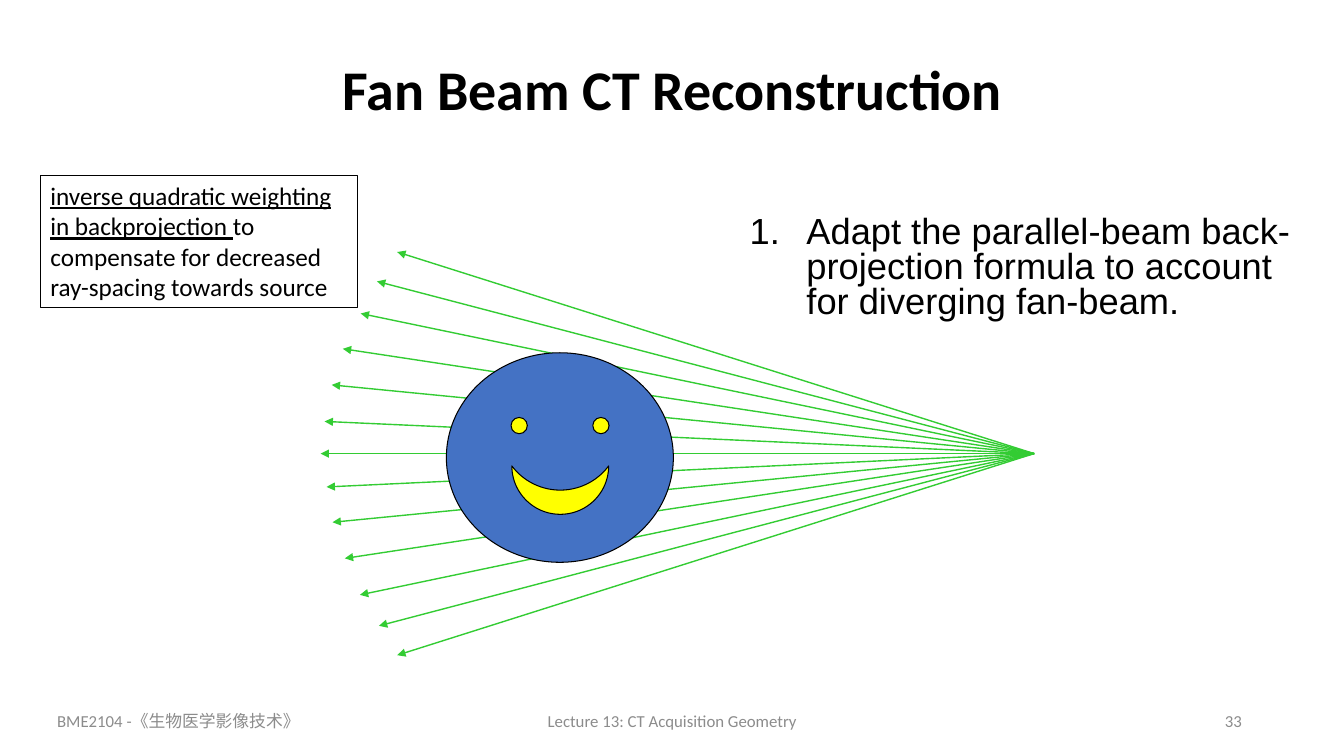
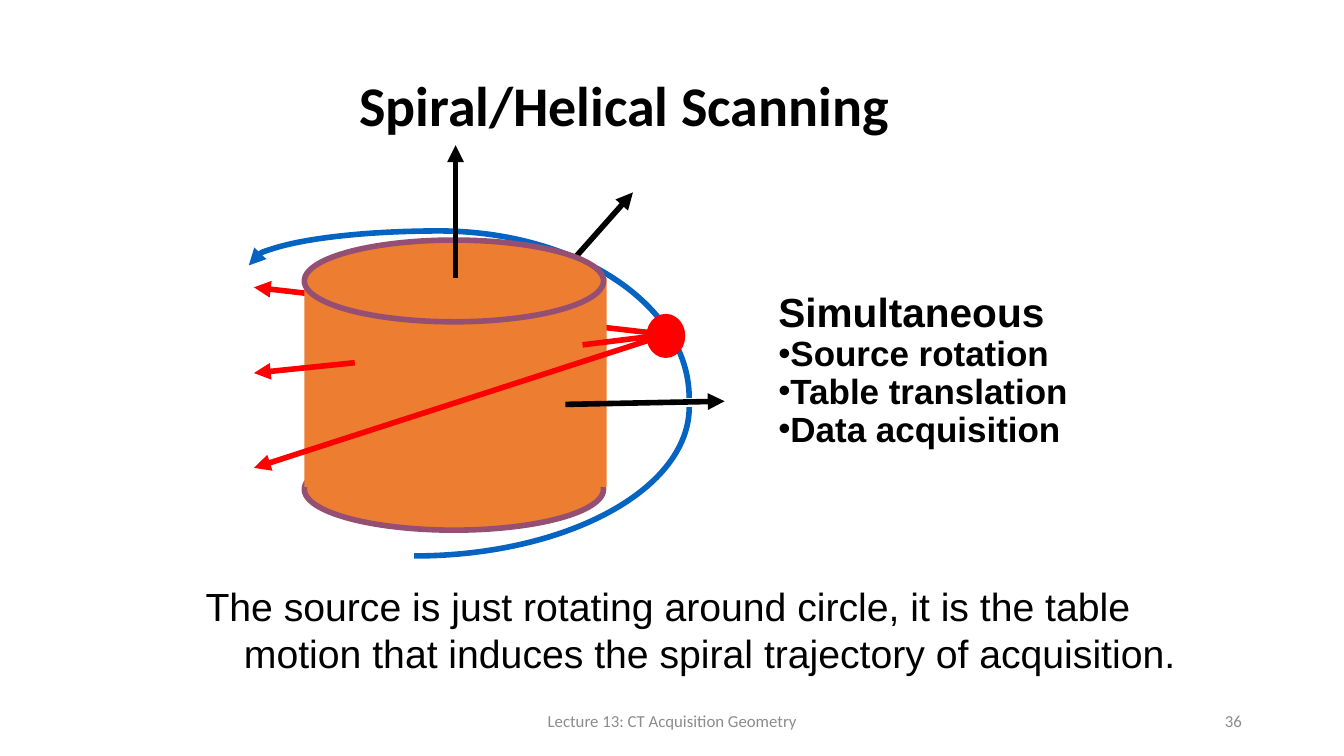
"""Build two lecture slides on CT acquisition geometry."""
from dataclasses import dataclass
from typing import NamedTuple, Optional

from lxml import etree
from pptx import Presentation
from pptx.dml.color import RGBColor
from pptx.enum.shapes import MSO_CONNECTOR, MSO_SHAPE
from pptx.enum.text import MSO_ANCHOR, MSO_AUTO_SIZE, PP_ALIGN
from pptx.oxml.ns import qn
from pptx.shapes.autoshape import Shape
from pptx.shapes.connector import Connector
from pptx.slide import Slide
from pptx.text.text import TextFrame
from pptx.util import Cm, Pt

BLACK = RGBColor(0x00, 0x00, 0x00)
GREY = RGBColor(0x8C, 0x8C, 0x8C)
RAY_GREEN = RGBColor(0x33, 0xCC, 0x33)
HEAD_BLUE = RGBColor(0x44, 0x72, 0xC4)
FACE_YELLOW = RGBColor(0xFF, 0xFF, 0x00)
BEAM_RED = RGBColor(0xFF, 0x00, 0x00)
BODY_ORANGE = RGBColor(0xED, 0x7D, 0x31)
RIM_PURPLE = RGBColor(0x95, 0x4F, 0x72)
ORBIT_BLUE = RGBColor(0x05, 0x63, 0xC1)

STRAIGHT = MSO_CONNECTOR.STRAIGHT
ARC, MOON = MSO_SHAPE.ARC, MSO_SHAPE.MOON
OVAL, RECTANGLE = MSO_SHAPE.OVAL, MSO_SHAPE.RECTANGLE
TOP, MIDDLE = MSO_ANCHOR.TOP, MSO_ANCHOR.MIDDLE
LEFT, CENTER, RIGHT = PP_ALIGN.LEFT, PP_ALIGN.CENTER, PP_ALIGN.RIGHT
NO_AUTOSIZE = MSO_AUTO_SIZE.NONE

HEADING_FONT, BODY_FONT = "Calibri", "Arial"
THIN, THICK = 0.75, 4
COURSE = "BME2104 -《生物医学影像技术》"
LECTURE = "Lecture 13: CT Acquisition Geometry"


class Box(NamedTuple):
    """Left, top, width and height in centimetres."""
    left: float
    top: float
    width: float
    height: float

    def lengths(self) -> list[Cm]:
        """Return the four measures as lengths."""
        return [Cm(measure) for measure in self]


class Point(NamedTuple):
    """Position in centimetres."""
    x: float
    y: float


@dataclass(frozen=True)
class Run:
    """Piece of text with its own look."""
    text: str
    size: float
    font: str = BODY_FONT
    color: RGBColor = BLACK
    bold: bool = False
    underline: bool = False


@dataclass(frozen=True)
class Paragraph:
    """Runs with their layout; bullet is a character or a numbering scheme."""
    runs: tuple[Run, ...]
    align: PP_ALIGN = LEFT
    spacing: float = 1.0
    hanging: float = 0
    bullet: str = ""


@dataclass(frozen=True)
class Arrow:
    """Line with an optional arrowhead at its end."""
    start: Point
    end: Point
    color: RGBColor
    pointed: bool = True


@dataclass(frozen=True)
class Orbit:
    """Quarter of an ellipse, clockwise from a given angle."""
    center: Point
    radius_x: float
    radius_y: float
    angle: int
    pointed: bool = False


def write(frame: TextFrame, paragraphs: list[Paragraph], anchor: MSO_ANCHOR = TOP) -> None:
    """Fill a text frame with paragraphs, run by run."""
    frame.word_wrap = True
    frame.auto_size = NO_AUTOSIZE
    frame.vertical_anchor = anchor
    for index, content in enumerate(paragraphs):
        paragraph = frame.add_paragraph() if index else frame.paragraphs[0]
        properties = paragraph._p.get_or_add_pPr()
        properties.set("marL", str(Cm(content.hanging)))
        properties.set("indent", str(-Cm(content.hanging)))
        if content.bullet == "arabicPeriod":
            etree.SubElement(properties, qn("a:buAutoNum"), type=content.bullet)
        elif content.bullet:
            etree.SubElement(properties, qn("a:buChar"), char=content.bullet)
        else:
            etree.SubElement(properties, qn("a:buNone"))
        paragraph.alignment = content.align
        paragraph.line_spacing = content.spacing
        paragraph.space_before = Pt(0)
        for piece in content.runs:
            run = paragraph.add_run()
            run.text = piece.text
            run.font.size = Pt(piece.size)
            run.font.name = piece.font
            run.font.color.rgb = piece.color
            run.font.bold = piece.bold
            run.font.underline = piece.underline


def fill_placeholder(holder: Shape, box: Box, paragraphs: list[Paragraph], anchor: MSO_ANCHOR) -> None:
    """Move a placeholder and write its text."""
    holder.left, holder.top, holder.width, holder.height = box.lengths()
    write(holder.text_frame, paragraphs, anchor)


def add_text(slide: Slide, box: Box, paragraphs: list[Paragraph], anchor: MSO_ANCHOR = TOP) -> None:
    """Add a wrapped text box."""
    write(slide.shapes.add_textbox(*box.lengths()).text_frame, paragraphs, anchor)


def add_figure(slide: Slide, kind: MSO_SHAPE, box: Box, fill: Optional[RGBColor] = None,
               line: Optional[RGBColor] = None, width: float = THIN) -> Shape:
    """Add a preset shape with a flat fill and outline."""
    figure = slide.shapes.add_shape(kind, *box.lengths())
    figure.shadow.inherit = False
    if fill is None:
        figure.fill.background()
    else:
        figure.fill.solid()
        figure.fill.fore_color.rgb = fill
    if line is None:
        figure.line.fill.background()
    else:
        figure.line.color.rgb = line
        figure.line.width = Pt(width)
    return figure


def add_arrow(slide: Slide, arrow: Arrow, width: float = THICK) -> Connector:
    """Add a straight line, with a head where wanted."""
    ends = [Cm(measure) for measure in (*arrow.start, *arrow.end)]
    connector = slide.shapes.add_connector(STRAIGHT, *ends)
    connector.line.color.rgb = arrow.color
    connector.line.width = Pt(width)
    if arrow.pointed:
        etree.SubElement(connector.line._get_or_add_ln(), qn("a:tailEnd"), type="triangle")
    etree.SubElement(connector._element.spPr, qn("a:effectLst"))
    return connector


def add_orbit(slide: Slide, orbit: Orbit) -> None:
    """Add a quarter of the source trajectory."""
    box = Box(orbit.center.x - orbit.radius_x, orbit.center.y - orbit.radius_y,
              2 * orbit.radius_x, 2 * orbit.radius_y)
    curve = add_figure(slide, ARC, box, line=ORBIT_BLUE, width=THICK)
    curve.adjustments[0] = orbit.angle * 0.6
    curve.adjustments[1] = (orbit.angle + 90) % 360 * 0.6
    if orbit.pointed:
        etree.SubElement(curve.line._get_or_add_ln(), qn("a:headEnd"), type="triangle")


def add_footers(slide: Slide, number: int, course: str = "") -> None:
    """Add the course, lecture and page number along the bottom."""
    footers = [(1.19, 9.27, LEFT, course), (11.23, 11.43, CENTER, LECTURE),
               (23.93, 7.62, RIGHT, str(number))]
    for left, width, align, text in footers:
        if text:
            label = Run(text, 12, HEADING_FONT, GREY)
            add_text(slide, Box(left, 17.65, width, 1.02), [Paragraph((label,), align)], MIDDLE)


def start_slide(deck: Presentation, title: str, title_box: Box,
                body: list[Paragraph], body_box: Box) -> Slide:
    """Add a slide with its title and list."""
    slide = deck.slides.add_slide(deck.slide_layouts[1])
    heading = Run(title, 40, HEADING_FONT, bold=True)
    fill_placeholder(slide.shapes.title, title_box, [Paragraph((heading,), CENTER, 0.9)], MIDDLE)
    fill_placeholder(slide.placeholders[1], body_box, body, TOP)
    return slide


def build_fan_beam(deck: Presentation) -> None:
    """Draw the fan of rays through a head."""
    step = Run("Adapt the parallel-beam back-projection formula to account for diverging fan-beam.", 25.9)
    slide = start_slide(deck, "Fan Beam CT Reconstruction", Box(2.34, 1.02, 29.21, 2.62),
                        [Paragraph((step,), spacing=0.8, hanging=1.43, bullet="arabicPeriod")],
                        Box(18.64, 5.33, 14.83, 3.18))

    source = Point(26.06, 11.43)
    detectors = [(10.01, 6.35), (9.5, 7.09), (9.09, 7.9), (8.64, 8.79), (8.36, 9.7),
                 (8.18, 10.62), (8.08, 11.43), (8.23, 12.27), (8.38, 13.16), (8.69, 14.07),
                 (9.07, 14.99), (9.55, 15.77), (10.01, 16.51)]
    for detector in detectors:
        add_arrow(slide, Arrow(source, Point(*detector), RAY_GREEN), 1)

    add_figure(slide, OVAL, Box(11.25, 8.89, 5.72, 5.28), HEAD_BLUE, BLACK)
    for eye_left in (12.98, 15.04):
        add_figure(slide, OVAL, Box(eye_left - 0.1, 10.52, 0.41, 0.41), FACE_YELLOW, BLACK)
    mouth = add_figure(slide, MOON, Box(13.51, 11.13, 1.22, 2.44), FACE_YELLOW, BLACK)
    mouth.rotation = 270

    weighting = add_figure(slide, RECTANGLE, Box(1.02, 4.42, 8, 3.33), line=BLACK)
    reason = (Run("inverse quadratic weighting in backprojection ", 18, HEADING_FONT, underline=True),
              Run("to compensate for decreased ray-spacing towards source", 18, HEADING_FONT))
    write(weighting.text_frame, [Paragraph(reason)])
    add_footers(slide, 33, COURSE)


def build_spiral(deck: Presentation) -> None:
    """Draw the source circling a moving cylinder."""
    processes = [Paragraph((Run("Simultaneous", 29, bold=True),), spacing=0.9)]
    for process in ("Source rotation", "Table translation", "Data acquisition"):
        processes.append(Paragraph((Run(process, 25, bold=True),), spacing=0.9, bullet="•"))
    slide = start_slide(deck, "Spiral/Helical Scanning", Box(7.92, 1.9, 15.62, 1.68),
                        processes, Box(19.36, 7.24, 8.5, 4.27))

    source = Point(16.79, 8.43)
    add_arrow(slide, Arrow(source, Point(6.4, 7.24), BEAM_RED))
    add_figure(slide, OVAL, Box(7.67, 11.3, 7.54, 2.06), BODY_ORANGE, RIM_PURPLE, THICK)
    add_arrow(slide, Arrow(Point(11.28, 10.11), Point(15.95, 4.85), BLACK))
    for orbit in (Orbit(Point(10.44, 10.26), 6.93, 3.75, 0),
                  Orbit(Point(11.07, 10.03), 6.3, 4.21, 270),
                  Orbit(Point(11.07, 6.69), 4.8, 0.87, 180, pointed=True)):
        add_orbit(slide, orbit)
    cylinder = add_figure(slide, RECTANGLE, Box(7.67, 7.01, 7.62, 5.26), BODY_ORANGE)
    add_figure(slide, OVAL, Box(7.67, 6.05, 7.54, 2.06), BODY_ORANGE, RIM_PURPLE, THICK)

    axis = add_arrow(slide, Arrow(Point(11.48, 7.01), Point(11.48, 3.66), BLACK))
    axis.begin_connect(cylinder, 0)
    for arrow in (Arrow(Point(14.25, 10.19), Point(18.26, 10.11), BLACK),
                  Arrow(source, Point(6.4, 11.79), BEAM_RED),
                  Arrow(source, Point(14.68, 8.69), BEAM_RED, pointed=False),
                  Arrow(Point(8.94, 9.14), Point(6.4, 9.4), BEAM_RED)):
        add_arrow(slide, arrow)
    add_figure(slide, OVAL, Box(16.36, 7.98, 0.84, 0.97), BEAM_RED, BEAM_RED, THICK)

    summary = Run("The source is just rotating around circle, it is the table motion "
                  "that induces the spiral trajectory of acquisition.", 28)
    add_text(slide, Box(4.93, 14.55, 25.07, 2.64), [Paragraph((summary,), hanging=0.97)])
    add_footers(slide, 36)


def main() -> None:
    """Build and save the deck."""
    deck = Presentation()
    deck.slide_width, deck.slide_height = Cm(33.87), Cm(19.05)
    build_fan_beam(deck)
    build_spiral(deck)
    deck.save("out.pptx")


if __name__ == "__main__":
    main()
